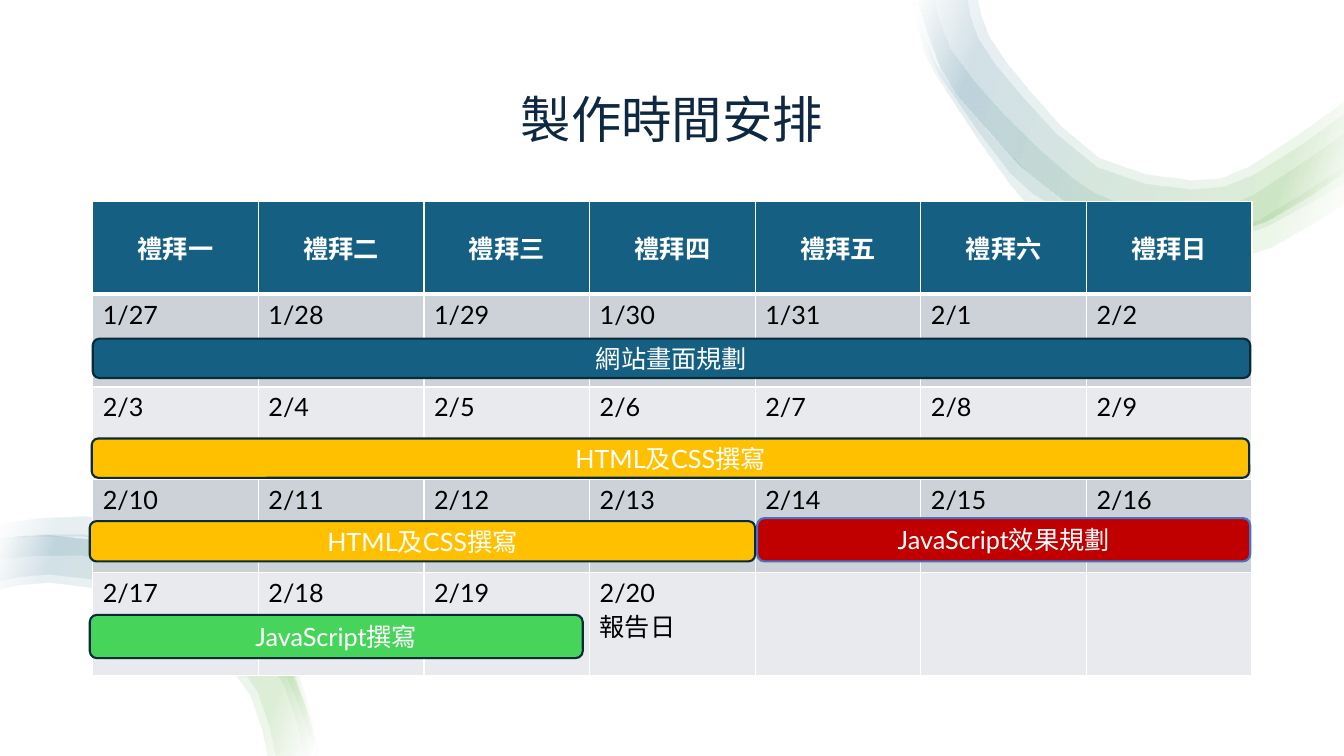
from dataclasses import dataclass

from pptx import Presentation
from pptx.dml.color import RGBColor as RGB
from pptx.enum.shapes import MSO_SHAPE as Preset
from pptx.enum.text import MSO_ANCHOR as Anchor, PP_ALIGN as Align
from pptx.oxml import parse_xml
from pptx.oxml.ns import nsdecls
from pptx.util import Inches, Pt


@dataclass(frozen=True)
class Theme:
    font: str = "Lato"
    cjk_font: str = "Noto Sans CJK JP"
    title_size: int = 36
    text_size: int = 18
    navy: str = "0E2841"
    blue: str = "156082"
    dark_edge: str = "092A39"
    light_edge: str = "4472C4"
    yellow: str = "FFC000"
    red: str = "C00000"
    green: str = "47D45A"
    leaf: str = "4EA72E"
    white: str = "FFFFFF"
    black: str = "000000"
    bands: tuple = ("CCD2D8", "E8EAED")


def smooth(knots, steps=2):
    padded = [knots[0], *knots, knots[-1]]
    curve = []
    for a, b, c, d in zip(padded, padded[1:], padded[2:], padded[3:]):
        for step in range(steps):
            t = step / steps
            curve.append(tuple(
                q + t / 2 * (r - p + t * (2 * p - 5 * q + 4 * r - s + t * (3 * (q - r) + s - p)))
                for p, q, r, s in zip(a, b, c, d)))
    return curve + [knots[-1]]


class ScheduleSlide:
    def __init__(self, deck, theme):
        self.theme = theme
        self.slide = deck.slides.add_slide(deck.slide_layouts[5])

    def style(self, frame, color, size=None, bold=False, align=Align.LEFT):
        for paragraph in frame.paragraphs:
            paragraph.alignment = align
            for run in paragraph.runs:
                run.font.name = self.theme.font
                run.font.size = Pt(size or self.theme.text_size)
                run.font.bold = bold
                run.font.color.rgb = RGB.from_string(color)
                run.font._element.find(".//{*}latin").addnext(parse_xml(
                    f'<a:ea {nsdecls("a")} typeface="{self.theme.cjk_font}"/>'))

    def title(self, text, left, top, width, height):
        heading = self.slide.shapes.title
        heading.left, heading.top = Inches(left), Inches(top)
        heading.width, heading.height = Inches(width), Inches(height)
        heading.text_frame.text = text
        heading.text_frame.vertical_anchor = Anchor.BOTTOM
        heading.text_frame.paragraphs[0].line_spacing = 0.9
        self.style(heading.text_frame, self.theme.navy, self.theme.title_size, align=Align.CENTER)

    def ribbons(self, edge_pairs):
        stops = ((2, self.theme.white), (16, self.theme.leaf),
                 (85, self.theme.blue), (100, self.theme.white))
        stop_xml = "".join(
            f'<a:gs pos="{place * 1000}"><a:srgbClr val="{color}"><a:alpha val="10000"/></a:srgbClr></a:gs>'
            for place, color in stops)
        group = self.slide.shapes.add_group_shape()
        for outward, back in edge_pairs:
            outline = [(Inches(x), Inches(y)) for x, y in smooth(outward) + smooth(back)]
            builder = group.shapes.build_freeform(*outline[0])
            builder.add_line_segments(outline[1:], close=True)
            ribbon = builder.convert_to_shape()
            ribbon.shadow.inherit = False
            ribbon.line.fill.background()
            ribbon.fill.background()
            properties = ribbon._element.spPr
            properties.replace(properties.find("{*}noFill"), parse_xml(
                f'<a:gradFill {nsdecls("a")} rotWithShape="1"><a:gsLst>{stop_xml}</a:gsLst>'
                f'<a:lin ang="{200 * 60000}" scaled="0"/></a:gradFill>'))

    def borders(self, cell, sides):
        for side, width in sides.items():
            cell._tc.get_or_add_tcPr().append(parse_xml(
                f'<a:ln{side} {nsdecls("a")} w="{Pt(width)}"><a:solidFill>'
                f'<a:srgbClr val="{self.theme.white}"/></a:solidFill></a:ln{side}>'))

    def calendar(self, weekdays, weeks, left, top, width, row_heights):
        table = self.slide.shapes.add_table(
            len(weeks) + 1, len(weekdays), Inches(left), Inches(top),
            Inches(width), Inches(sum(row_heights))).table
        for column in table.columns:
            column.width = Inches(width / len(weekdays))
        for index, (row, days) in enumerate(zip(table.rows, [weekdays, *weeks])):
            header = index == 0
            row.height = Inches(row_heights[index])
            for cell, day in zip(row.cells, days):
                cell.text_frame.text = day
                self.borders(cell, {"L": 1, "R": 1, "T": 3 if index == 1 else 1, "B": 3 if header else 1})
                cell.fill.solid()
                cell.fill.fore_color.rgb = RGB.from_string(
                    self.theme.blue if header else self.theme.bands[(index - 1) % 2])
                cell.vertical_anchor = Anchor.MIDDLE if header else Anchor.TOP
                self.style(cell.text_frame, self.theme.white if header else self.theme.black,
                           bold=header, align=Align.CENTER if header else Align.LEFT)

    def task(self, text, left, top, width, height, fill, edge):
        bar = self.slide.shapes.add_shape(
            Preset.ROUNDED_RECTANGLE, Inches(left), Inches(top), Inches(width), Inches(height))
        bar.shadow.inherit = False
        bar.fill.solid()
        bar.fill.fore_color.rgb = RGB.from_string(fill)
        bar.line.color.rgb = RGB.from_string(edge)
        bar.line.width = Pt(1.5)
        bar.text_frame.text = text
        bar.text_frame.vertical_anchor = Anchor.MIDDLE
        self.style(bar.text_frame, self.theme.white, align=Align.CENTER)


WIDE_OUTER = [(13.33, 1.71), (12.57, 2.19), (11.81, 2.35), (10.6, 2.04),
              (9.73, 1.22), (9.33, 0.68), (9.11, 0)]
TOP_RIBBONS = [
    ([(9.1, 0), (9.26, 0.6), (9.81, 1.32), (10.55, 2.01), (11.01, 2.21), (11.5, 2.3),
      (12.01, 2.3), (12.48, 2.18), (13.33, 1.65)],
     [(13.33, 2.02), (12.61, 2.45), (12.05, 2.59), (11.61, 2.6), (11.19, 2.54),
      (10.41, 2.2), (10.01, 1.82), (9.42, 0.96), (9.16, 0.5), (9.07, 0)]),
    ([(9.27, 0), (9.43, 0.49), (9.96, 1.14), (10.64, 1.77), (11.04, 1.99), (11.5, 2.08),
      (11.97, 2.07), (12.41, 1.94), (13.33, 1.32)],
     [(13.33, 1.81), (12.55, 2.25), (12.02, 2.38), (11.47, 2.37), (10.94, 2.25),
      (10.44, 2.04), (10.02, 1.72), (9.43, 0.91), (9.24, 0.58), (9.11, 0)]),
    ([(9.6, 0), (9.7, 0.38), (10.13, 0.95), (10.88, 1.66), (11.81, 1.88),
      (12.44, 1.73), (13.33, 1.13)], WIDE_OUTER),
    ([(9.7, 0), (9.81, 0.36), (10.21, 0.9), (10.9, 1.57), (11.81, 1.79),
      (12.39, 1.65), (13.33, 1.01)], WIDE_OUTER),
]
ARC_OUTER = [(3.16, 7.5), (2.84, 6.53), (2.22, 5.89), (1.41, 5.46), (0.49, 5.31), (0, 5.36)]
BOTTOM_RIBBONS = [
    (ARC_OUTER, [(0, 5.85), (0.49, 5.78), (1.28, 5.93), (1.99, 6.33), (2.48, 6.9), (2.65, 7.5)]),
    (ARC_OUTER, [(0, 5.77), (0.49, 5.7), (1.31, 5.85), (2.05, 6.27), (2.55, 6.86), (2.73, 7.5)]),
    ([(3.16, 7.5), (2.97, 6.72), (2.44, 6.03), (1.7, 5.54), (0.83, 5.3), (0, 5.34)],
     [(0, 5.55), (0.81, 5.51), (1.6, 5.74), (2.3, 6.17), (2.81, 6.79), (3.02, 7.5)]),
    ([(3.17, 7.5), (2.8, 6.34), (2.35, 5.81), (1.78, 5.4), (0.86, 5.13), (0, 5.21)],
     [(0, 5.36), (0.83, 5.33), (1.67, 5.59), (2.14, 5.87), (2.7, 6.39), (3.14, 7.5)]),
]


def main():
    deck = Presentation()
    deck.slide_width, deck.slide_height = Inches(13.33), Inches(7.5)
    theme = Theme()
    schedule = ScheduleSlide(deck, theme)
    schedule.title("製作時間安排", 1.29, 0.78, 10.75, 0.75)
    schedule.ribbons(TOP_RIBBONS)
    schedule.ribbons(BOTTOM_RIBBONS)

    weekdays = [f"禮拜{day}" for day in "一二三四五六日"]
    dates = [f"1/{day}" for day in range(27, 32)] + [f"2/{day}" for day in range(1, 21)]
    dates[-1] += "\n報告日"
    dates += [""] * (-len(dates) % 7)
    weeks = [dates[start:start + 7] for start in range(0, len(dates), 7)]
    schedule.calendar(weekdays, weeks, 0.92, 2, 11.5, [0.92] * 4 + [1.02])

    for task in (
        ("網站畫面規劃", 0.92, 3.36, 11.48, 0.39, theme.blue, theme.dark_edge),
        ("HTML及CSS撰寫", 0.91, 4.35, 11.48, 0.39, theme.yellow, theme.dark_edge),
        ("HTML及CSS撰寫", 0.89, 5.17, 6.6, 0.4, theme.yellow, theme.dark_edge),
        ("JavaScript效果規劃", 7.51, 5.14, 4.89, 0.43, theme.red, theme.light_edge),
        ("JavaScript撰寫", 0.89, 6.1, 4.89, 0.43, theme.green, theme.dark_edge),
    ):
        schedule.task(*task)
    deck.save("out.pptx")


if __name__ == "__main__":
    main()
